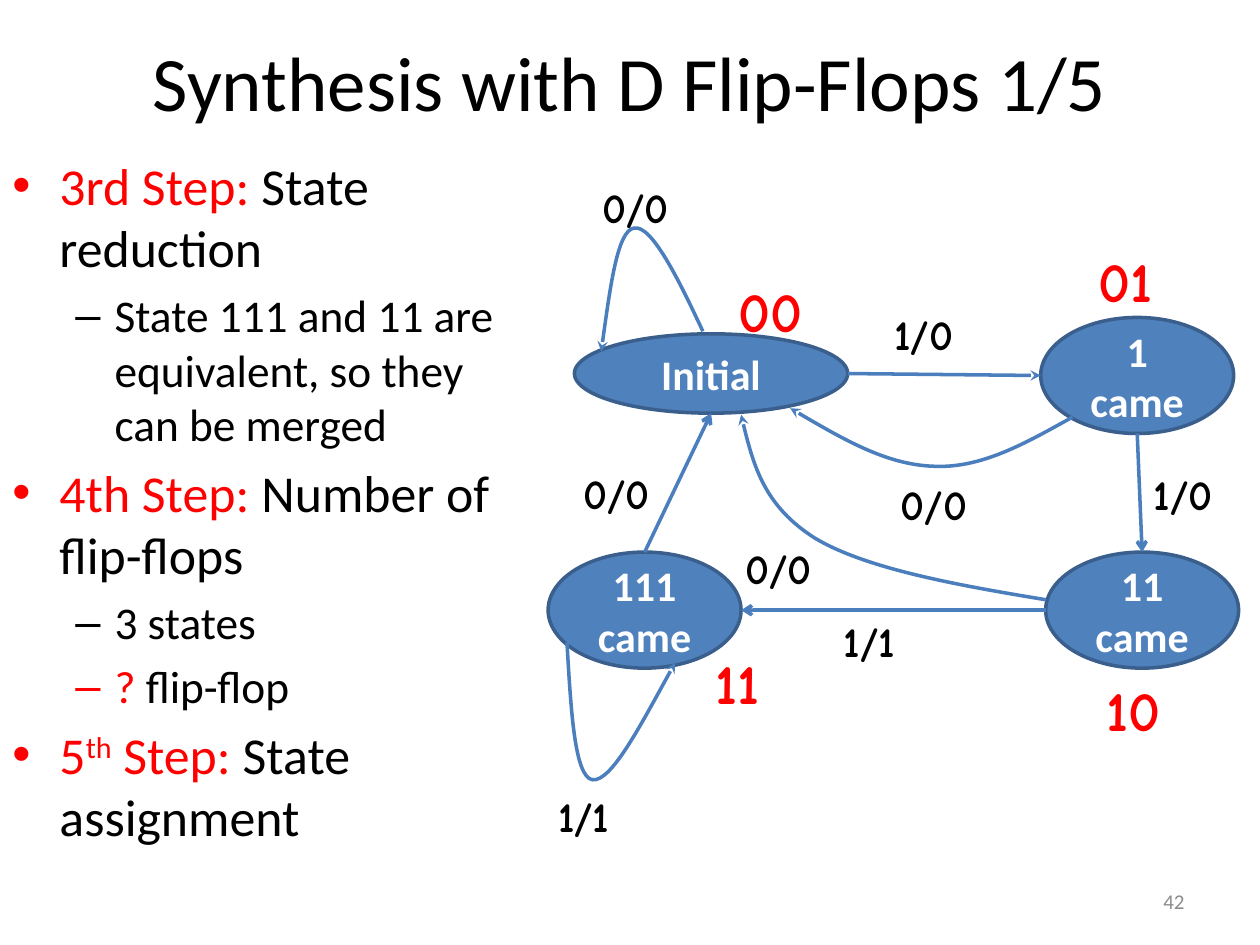
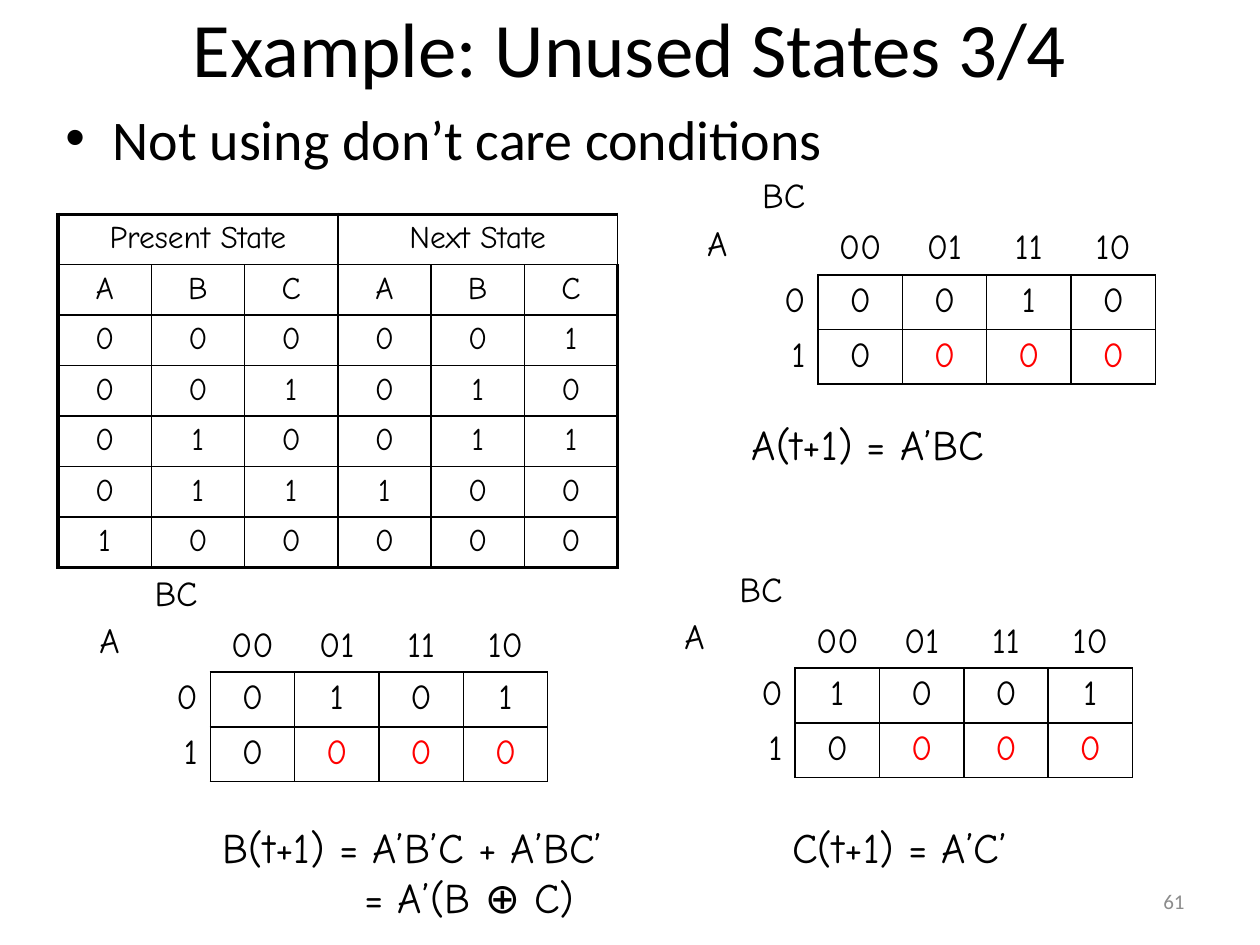
from lxml import etree
from pptx import Presentation
from pptx import util as u
from pptx.dml.color import RGBColor
from pptx.enum import shapes, text
from pptx.oxml import ns

Cm, Pt = u.Cm, u.Pt
HUES = {"ink": "000000", "red": "FF0000", "white": "FFFFFF", "grey": "8C8C8C",
        "node": "4F81BD", "rim": "3A5F8C", "wire": "4B7EBC"}
SANS, HAND = "Calibri", "Comic Neue"
ALIGN = {"l": text.PP_ALIGN.LEFT, "c": text.PP_ALIGN.CENTER, "r": text.PP_ALIGN.RIGHT}
MID, LOW = text.MSO_ANCHOR.MIDDLE, text.MSO_ANCHOR.BOTTOM

# Content: a run is (words, colour) or (words, colour, baseline)
STEPS = [
    (0, [("3rd Step: ", "red"), ("State reduction", "ink")]),
    (1, [("State 111 and 11 are equivalent, so they can be merged", "ink")]),
    (0, [("4th Step: ", "red"), ("Number of flip-flops", "ink")]),
    (1, [("3 states", "ink")]),
    (1, [("?", "red"), (" flip-flop", "ink")]),
    (0, [("5", "red"), ("th", "red", 30000), (" Step: ", "red"),
         ("State assignment", "ink")]),
]
LEVELS = [(0.95, -0.95, "•"), (2.06, -0.79, "–")]  # margin, indent, bullet

# State diagram, in cm
NODES = {
    "Initial": (11.58, 6.73, 5.51, 1.6),
    "1 came": (20.98, 6.4, 3.89, 2.34),
    "11 came": (21.08, 11.13, 3.89, 2.34),
    "111 came": (11.05, 11.13, 3.89, 2.34),
}
SIDES = {"top": (0.5, 0), "left": (0, 0.5), "bottom": (0.5, 1), "right": (1, 0.5)}
LINKS = [
    ("Initial", "right", "1 came", "left", "stealth"),
    ("1 came", "bottom", "11 came", "top", "arrow"),
    ("11 came", "left", "111 came", "right", "arrow"),
    ("111 came", "top", "Initial", "bottom", "arrow"),
]
CURVES = [  # start, then two cubic pieces of three points each
    [(14.17, 6.68), (13.67, 5.61), (13.13, 4.52), (12.78, 4.6),
     (12.45, 4.65), (12.29, 5.87), (12.12, 7.09)],
    [(21.62, 8.41), (20.7, 8.92), (19.79, 9.45), (18.82, 9.4),
     (17.88, 9.37), (16.92, 8.81), (15.93, 8.23)],
    [(21.08, 12.09), (19.25, 11.79), (17.45, 11.46), (16.43, 10.85),
     (15.42, 10.21), (15.16, 9.3), (14.94, 8.36)],
    [(11.43, 12.95), (11.51, 14.3), (11.58, 15.65), (11.94, 15.72),
     (12.32, 15.77), (12.95, 14.55), (13.61, 13.36)],
]
LABELS = [
    ("0/0", 11.89, 3.53), ("1/0", 17.78, 6.1), ("0/0", 17.91, 9.53),
    ("1/0", 23.01, 9.32), ("0/0", 14.78, 10.82), ("1/1", 16.76, 12.29),
    ("0/0", 11.51, 9.3), ("1/1", 11, 15.82),
]
CODES = [("00", 14.63, 5.44), ("01", 21.89, 4.85),
         ("10", 22.05, 13.49), ("11", 14.17, 12.95)]

# State table and Karnaugh maps
STATES = ["ABCABC", "000001", "001010", "010011", "011100", "100000"]
MAPS = [  # left, top, cells of row 0 and row 1
    (14, 3.45, ["0010", "0000"]),
    (1.75, 11.46, ["0101", "0000"]),
    (13.54, 11.38, ["1001", "0000"]),
]
SUMS = [
    (14.91, 8.31, 5.69, 1.27, ["A(t+1) = A’BC"]),
    (4.24, 16.43, 8.64, 2.29, ["B(t+1) = A’B’C + A’BC’", "= A’(B ⊕ C)"]),
    (15.72, 16.43, 5.21, 1.27, ["C(t+1) = A’C’"]),
]


def rgb(hue):
    return RGBColor.from_string(HUES[hue])


def sub(node, tag, **attrs):
    return etree.SubElement(node, ns.qn(tag), attrs)


def put(frame, paras, size=24, font=SANS, hue="ink", bold=False, align="l",
        gap=0, line=None, anchor=None, wrap=True):
    """Fill a text frame; each paragraph is a string or a list of runs."""
    frame.word_wrap = wrap
    if anchor is not None:
        frame.vertical_anchor = anchor
    for i, runs in enumerate(paras):
        para = frame.paragraphs[0] if i == 0 else frame.add_paragraph()
        para.alignment = ALIGN[align]
        para.space_before = Pt(gap if i else 0)
        if line:
            para.line_spacing = line
        for words, tint, *base in [(runs, hue)] if isinstance(runs, str) else runs:
            run = para.add_run()
            run.text = words
            run.font.size, run.font.name, run.font.bold = Pt(size), font, bold
            run.font.color.rgb = rgb(tint)
            if base:
                run.font._element.set("baseline", str(base[0]))
    return frame


def box(slide, area, paras, **fmt):
    shape = slide.shapes.add_textbox(*map(Cm, area))
    return put(shape.text_frame, paras, **fmt)


def dot(para, level):
    """Give a paragraph the bullet and indent of its level."""
    left, first, char = LEVELS[level]
    props = para._p.get_or_add_pPr()
    props.set("marL", str(Cm(left)))
    props.set("indent", str(Cm(first)))
    sub(props, "a:buFont", typeface="Arial")
    sub(props, "a:buChar", char=char)


def page(deck, title, top, num):
    slide = deck.slides.add_slide(deck.slide_layouts[6])
    box(slide, (1.27, top, 22.86, 3.18), [title], size=44, align="c", anchor=MID)
    box(slide, (18.2, 17.65, 5.93, 1.02), [num], size=12, hue="grey",
        align="r", anchor=MID)
    return slide


def wire(shape, head):
    shape.line.color.rgb = rgb("wire")
    shape.line.width = Pt(2)
    sub(shape.line._get_or_add_ln(), "a:tailEnd", type=head)


def spot(name, side):
    x, y, w, h = NODES[name]
    fx, fy = SIDES[side]
    return Cm(x + fx * w), Cm(y + fy * h)


def bend(slide, pts):
    """Draw an open curve: every three points after the first make one cubic."""
    pts = [(Cm(x), Cm(y)) for x, y in pts]
    form = slide.shapes.build_freeform(*pts[0])
    form.add_line_segments(pts[1:], close=False)
    shape = form.convert_to_shape()
    shape.shadow.inherit = False
    shape.fill.background()
    trace = shape._element.find(".//" + ns.qn("a:path"))
    legs = trace.findall(ns.qn("a:lnTo"))
    for i in range(0, len(legs), 3):
        cubic = sub(trace, "a:cubicBezTo")
        for leg in legs[i:i + 3]:
            cubic.append(leg[0])
            trace.remove(leg)
    wire(shape, "stealth")


def rule(cell, **sides):
    """Set the borders L, R, T and B in points; 0 hides one."""
    cell.fill.background()
    props = cell._tc.get_or_add_tcPr()
    for i, side in enumerate("LRTB"):
        wide = sides[side]
        edge = etree.Element(ns.qn("a:ln" + side), w=str(Pt(wide)))
        if wide:
            sub(sub(edge, "a:solidFill"), "a:srgbClr", val=HUES["ink"])
        else:
            sub(edge, "a:noFill")
        props.insert(i, edge)


def grid(slide, left, top, cols, rows):
    table = slide.shapes.add_table(len(rows), len(cols), Cm(left), Cm(top),
                                   Cm(sum(cols)), Cm(sum(rows))).table
    table.first_row = table.horz_banding = False
    for col, wide in zip(table.columns, cols):
        col.width = Cm(wide)
    for row, high in zip(table.rows, rows):
        row.height = Cm(high)
    return table


def chart_states(slide):
    table = grid(slide, 1.17, 4.32, [1.88] * 6, [0.99] * 7)
    for r in range(7):
        for c in range(6):
            rule(table.cell(r, c), L=1 if c else 2.25, R=2.25 if c == 5 else 1,
                 T=1 if r else 2.25, B=2.25 if r == 6 else 1)
            if r:
                put(table.cell(r, c).text_frame, [STATES[r - 1][c]],
                    size=18, font=HAND, align="c")
    for c, head in (0, "Present State"), (3, "Next State"):
        table.cell(0, c).merge(table.cell(0, c + 2))
        put(table.cell(0, c).text_frame, [head], size=18, font=HAND, align="c")


def chart_map(slide, left, top, bits):
    table = grid(slide, left, top, [2.49] + [1.7] * 4, [2.06, 1.08, 1.08])
    heads = ["00", "01", "11", "10"]
    for r in range(3):
        for c in range(5):
            cell = table.cell(r, c)
            inner = 1 if r and c else 0
            rule(cell, L=1 if r and c else 0, R=1 if r else 0,
                 T=1 if r and c else 0, B=1 if c else inner)
            if r == 0 and c == 0:
                put(cell.text_frame, ["BC", "A"], size=20, font=HAND, gap=4)
                cell.text_frame.paragraphs[0].alignment = ALIGN["r"]
                continue
            word = heads[c - 1] if r == 0 else bits[r - 1][c - 1] if c else str(r - 1)
            put(cell.text_frame, [word], size=20, font=HAND,
                align="c" if c else "r", hue="red" if r == 2 and c > 1 else "ink")
            if r == 0:
                cell.vertical_anchor = LOW


def draw_states(deck):
    slide = page(deck, "Synthesis with D Flip-Flops 1/5", 0.03, "42")
    # Steps
    frame = box(slide, (0, 2.97, 11, 15.47), [runs for _, runs in STEPS], gap=5.5)
    for para, (level, _) in zip(frame.paragraphs, STEPS):
        dot(para, level)
        for run in para.runs:
            run.font.size = Pt(25.9 if level else 29.6)
    # States
    for name, area in NODES.items():
        oval = slide.shapes.add_shape(shapes.MSO_SHAPE.OVAL, *map(Cm, area))
        oval.shadow.inherit = False
        oval.fill.solid()
        oval.fill.fore_color.rgb = rgb("node")
        oval.line.color.rgb = rgb("rim")
        oval.line.width = Pt(2)
        put(oval.text_frame, [name], hue="white", bold=True, align="c", anchor=MID)
    # Moves between states
    for start, out, end, into, head in LINKS:
        link = slide.shapes.add_connector(shapes.MSO_CONNECTOR.STRAIGHT,
                                          *spot(start, out), *spot(end, into))
        wire(link, head)
        sub(link._element.spPr, "a:effectLst")
    for pts in CURVES:
        bend(slide, pts)
    # Labels and state codes
    for word, x, y in LABELS:
        box(slide, (x, y, 1.98, 1.27), [word], font=HAND, bold=True, wrap=False)
    for word, x, y in CODES:
        box(slide, (x, y, 1.9, 1.63), [word], size=32, font=HAND, hue="red",
            bold=True, wrap=False)


def draw_maps(deck):
    slide = page(deck, "Example: Unused States 3/4", -0.64, "61")
    frame = box(slide, (1.07, 2.24, 24.33, 1.37),
                ["Not using don’t care conditions"], size=32, line=0.8)
    dot(frame.paragraphs[0], 0)
    chart_states(slide)
    for left, top, bits in MAPS:
        chart_map(slide, left, top, bits)
    for *area, lines in SUMS:
        frame = box(slide, area, lines, font=HAND, wrap=False)
        for para in frame.paragraphs[1:]:
            para._p.get_or_add_pPr().set("marL", str(Cm(2.86)))


def main():
    deck = Presentation()
    deck.slide_width, deck.slide_height = Cm(25.4), Cm(19.05)
    draw_states(deck)
    draw_maps(deck)
    deck.save("out.pptx")


if __name__ == "__main__":
    main()
